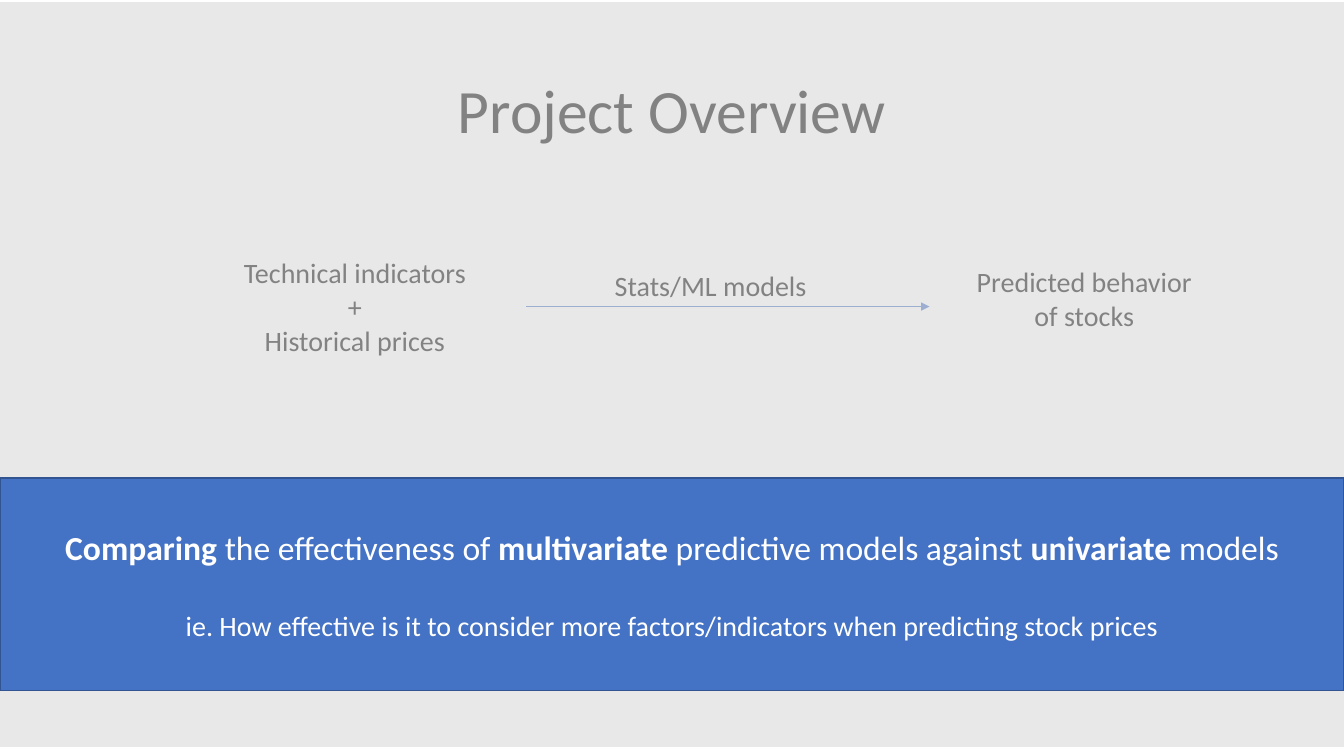
import pptx
import pptx.util
import pptx.dml.color
import pptx.enum.shapes
import pptx.enum.text
import pptx.oxml
import pptx.oxml.ns
from lxml import etree

Pt = pptx.util.Pt
RGBColor = pptx.dml.color.RGBColor
Shape = pptx.enum.shapes.MSO_SHAPE
Align = pptx.enum.text.PP_ALIGN
Anchor = pptx.enum.text.MSO_ANCHOR

BLACK = RGBColor(0x00, 0x00, 0x00)
WHITE = RGBColor(0xFF, 0xFF, 0xFF)
VEIL_GREY = RGBColor(0xD9, 0xD9, 0xD9)
BLUE = RGBColor(0x44, 0x72, 0xC4)
DARK_BLUE = RGBColor(0x32, 0x54, 0x91)

SLIDE_WIDTH, SLIDE_HEIGHT = 960, 540
TITLE = [[("Project Overview", False)]]
TITLE_BOX = (66, 29, 828, 104)
STAGE_SIZE = (195, 88.5)
STAGES = [
    ((156, 174.5), ["Technical indicators", "+", "Historical prices"]),
    ((677, 169), ["Predicted behavior of stocks"]),
]
METHOD = [[("Stats/ML models", False)]]
METHOD_BOX = (432, 188.5, 162, 32)
ARROW_START, ARROW_END, ARROW_Y = 376, 664, 219
VEIL_BLEED, VEIL_TOP, VEIL_HEIGHT, VEIL_ALPHA = 8, 1.5, 532, 60
BAND_TOP, BAND_HEIGHT, BAND_GAP = 341.5, 152, 29
BAND_GOAL = [[
    ("Comparing", True), (" the effectiveness of ", False),
    ("multivariate", True), (" predictive models against ", False),
    ("univariate", True), (" models", False),
]]
BAND_QUESTION = [[(
    "ie. How effective is it to consider more factors/indicators "
    "when predicting stock prices", False)]]

TITLE_FORMAT = {"name": "Calibri", "size": Pt(44)}
BODY_FORMAT = {"name": "Calibri", "size": Pt(20)}
GOAL_FORMAT = {"name": "Calibri", "size": Pt(24)}


def write_text(frame, paragraphs, formats, color, alignment=Align.CENTER):
    frame.word_wrap = True
    for index, (runs, format_values) in enumerate(zip(paragraphs, formats)):
        paragraph = frame.paragraphs[0] if index == 0 else frame.add_paragraph()
        paragraph.alignment = alignment
        for text, bold in runs:
            run = paragraph.add_run()
            run.text = text
            for name, value in {**format_values, "bold": bold}.items():
                setattr(run.font, name, value)
            run.font.color.rgb = color


def add_box(slide, kind, box, fill=None, line=None):
    shape = slide.shapes.add_shape(kind, *map(Pt, box))
    shape.shadow.inherit = False
    if fill is None:
        shape.fill.background()
    else:
        shape.fill.solid()
        shape.fill.fore_color.rgb = fill
    if line is None:
        shape.line.fill.background()
    else:
        shape.line.color.rgb = line
        shape.line.width = Pt(1)
    shape.text_frame.vertical_anchor = Anchor.MIDDLE
    return shape


def add_title(slide):
    title = slide.shapes.title
    for name, value in zip(("left", "top", "width", "height"), TITLE_BOX):
        setattr(title, name, Pt(value))
    title.text_frame.vertical_anchor = Anchor.MIDDLE
    write_text(title.text_frame, TITLE, [TITLE_FORMAT], BLACK)
    title.text_frame.paragraphs[0].line_spacing = 0.9


def add_arrow(slide):
    arrow = slide.shapes.add_connector(
        pptx.enum.shapes.MSO_CONNECTOR.STRAIGHT,
        Pt(ARROW_START), Pt(ARROW_Y), Pt(ARROW_END), Pt(ARROW_Y))
    arrow.line.color.rgb = BLUE
    arrow.line.width = Pt(0.5)
    line = arrow.line._get_or_add_ln()
    etree.SubElement(line, pptx.oxml.ns.qn("a:tailEnd"), type="triangle")
    etree.SubElement(arrow._element.spPr, pptx.oxml.ns.qn("a:effectLst"))


def add_flow(slide):
    for position, lines in STAGES:
        stage = add_box(slide, Shape.ROUNDED_RECTANGLE, position + STAGE_SIZE)
        paragraphs = [[(line, False)] for line in lines]
        write_text(stage.text_frame, paragraphs, [BODY_FORMAT] * len(lines), BLACK)
    add_arrow(slide)
    method = slide.shapes.add_textbox(*map(Pt, METHOD_BOX))
    write_text(method.text_frame, METHOD, [BODY_FORMAT], BLACK, Align.LEFT)


def add_veil(slide):
    box = (-VEIL_BLEED, VEIL_TOP, SLIDE_WIDTH + 2 * VEIL_BLEED, VEIL_HEIGHT)
    veil = add_box(slide, Shape.RECTANGLE, box, VEIL_GREY)
    color = veil._element.spPr.find(".//" + pptx.oxml.ns.qn("a:srgbClr"))
    etree.SubElement(color, pptx.oxml.ns.qn("a:alpha"), val=str(VEIL_ALPHA * 1000))


def add_band(slide):
    box = (0, BAND_TOP, SLIDE_WIDTH, BAND_HEIGHT)
    band = add_box(slide, Shape.RECTANGLE, box, BLUE, DARK_BLUE)
    write_text(band.text_frame, BAND_GOAL + BAND_QUESTION,
               [GOAL_FORMAT, BODY_FORMAT], WHITE)
    band.text_frame.paragraphs[1].space_before = Pt(BAND_GAP)


def main():
    presentation = pptx.Presentation()
    presentation.slide_width = Pt(SLIDE_WIDTH)
    presentation.slide_height = Pt(SLIDE_HEIGHT)
    slide = presentation.slides.add_slide(presentation.slide_layouts[5])
    add_title(slide)
    add_flow(slide)
    add_veil(slide)
    add_band(slide)
    presentation.save("out.pptx")


if __name__ == "__main__":
    main()
